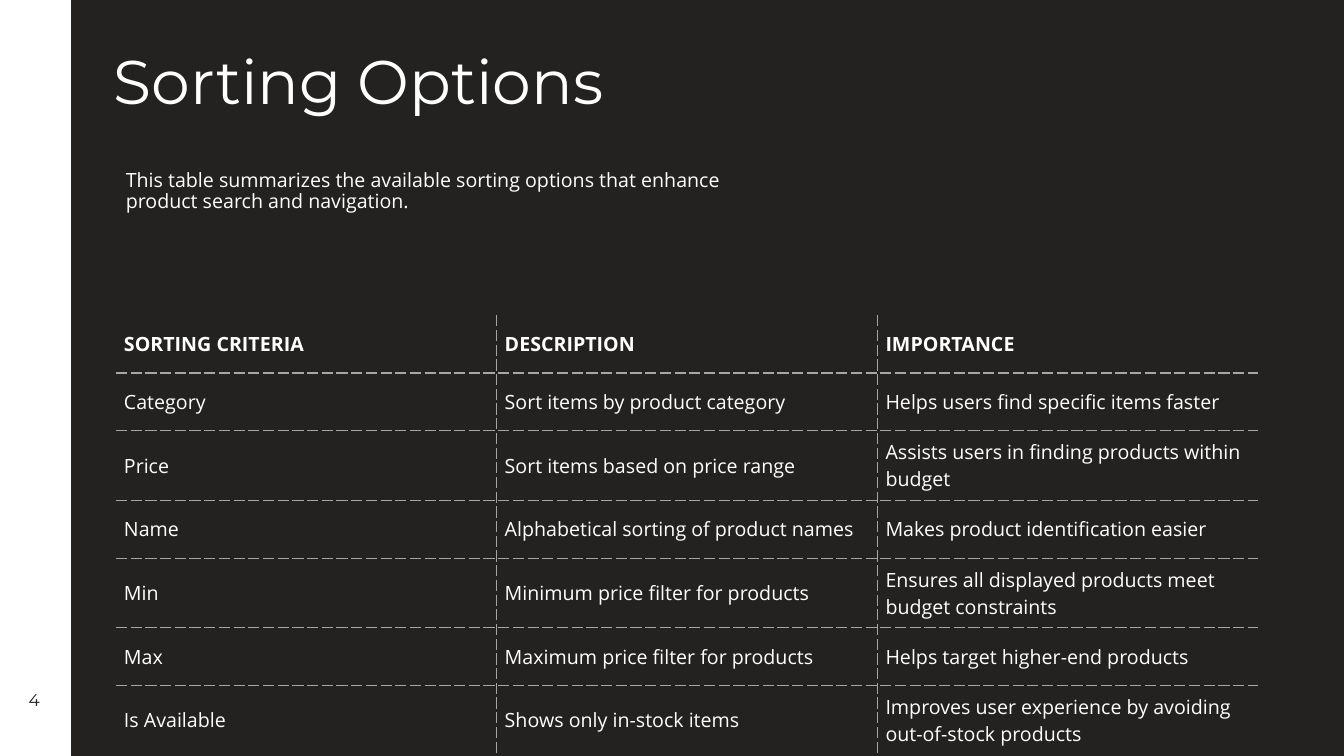
"""Build the slide on sorting options."""
from lxml import etree
from pptx import Presentation
from pptx.dml.color import RGBColor
from pptx.enum.shapes import MSO_CONNECTOR, MSO_SHAPE
from pptx.enum.text import MSO_ANCHOR, PP_ALIGN
from pptx.oxml.ns import qn
from pptx.util import Pt

RECT = MSO_SHAPE.RECTANGLE
LINE = MSO_CONNECTOR.STRAIGHT
MID = MSO_ANCHOR.MIDDLE
LEFT, MIDDLE = PP_ALIGN.LEFT, PP_ALIGN.CENTER
COLORS = {"dark": "232220", "white": "FFFFFF", "rule": "A6A6A6"}
WIDE, HIGH = 960, 540
STRIP = 50
PAD = 5.76
ROWS = [
    ("SORTING CRITERIA", "DESCRIPTION", "IMPORTANCE"),
    ("Category", "Sort items by product category",
     "Helps users find specific items faster"),
    ("Price", "Sort items based on price range",
     "Assists users in finding products within budget"),
    ("Name", "Alphabetical sorting of product names",
     "Makes product identification easier"),
    ("Min", "Minimum price filter for products",
     "Ensures all displayed products meet budget constraints"),
    ("Max", "Maximum price filter for products",
     "Helps target higher-end products"),
    ("Is Available", "Shows only in-stock items",
     "Improves user experience by avoiding out-of-stock products"),
]


def color(name):
    return RGBColor.from_string(COLORS[name])


def apply(item, values):
    for key, value in values.items():
        setattr(item, key, value)


def write(frame, text, size, face="Open Sans", ink="white", bold=False,
          align=LEFT, space=1.0):
    para = frame.paragraphs[0]
    apply(para, {"text": text, "alignment": align, "line_spacing": space})
    font = para.runs[0].font
    apply(font, {"size": Pt(size), "name": face, "bold": bold})
    font.color.rgb = color(ink)


def place(shape, left, top, width, height):
    apply(shape, {"left": Pt(left), "top": Pt(top),
                  "width": Pt(width), "height": Pt(height)})
    apply(shape.text_frame, {"word_wrap": True, "vertical_anchor": MID})
    return shape.text_frame


def add_text(slide, box, text, size, **style):
    frame = place(slide.shapes.add_textbox(0, 0, 0, 0), *box)
    write(frame, text, size, **style)


def add_strip(slide):
    strip = slide.shapes.add_shape(RECT, 0, 0, Pt(STRIP), Pt(HIGH))
    strip.shadow.inherit = False
    strip.fill.solid()
    strip.fill.fore_color.rgb = color("white")
    strip.line.fill.background()
    edge = slide.shapes.add_connector(LINE, Pt(STRIP), 0, Pt(STRIP), Pt(HIGH))
    edge.line.width = Pt(1.5)
    edge.line.color.rgb = color("white")
    etree.SubElement(edge._element.spPr, qn("a:effectLst"))


def add_border(cell, side, shown):
    props = cell._tc.get_or_add_tcPr()
    line = etree.SubElement(props, qn("a:ln" + side), w=str(Pt(1)))
    if shown:
        fill = etree.SubElement(line, qn("a:solidFill"))
        etree.SubElement(fill, qn("a:srgbClr"), val=COLORS["rule"])
        etree.SubElement(line, qn("a:prstDash"), val="sysDash")
    else:
        etree.SubElement(line, qn("a:noFill"))


def add_table(slide, left, top, width, row_high):
    count, cols = len(ROWS), len(ROWS[0])
    table = slide.shapes.add_table(count, cols, Pt(left), Pt(top), Pt(width),
                                   Pt(row_high * count)).table
    apply(table, {"first_row": False, "horz_banding": False})
    for row, texts in enumerate(ROWS):
        tall = row > 0 and row % 2 == 0
        table.rows[row].height = Pt(45.4 if tall else row_high)
        for col, text in enumerate(texts):
            cell = table.cell(row, col)
            apply(cell, {"vertical_anchor": MID,
                         "margin_left": Pt(PAD), "margin_right": Pt(PAD),
                         "margin_top": Pt(PAD), "margin_bottom": Pt(PAD)})
            write(cell.text_frame, text, 14, bold=row == 0)
            sides = {"L": col > 0, "R": col < cols - 1,
                     "T": row > 0, "B": row < count - 1}
            for side, shown in sides.items():
                add_border(cell, side, shown)
            cell.fill.background()


def main():
    deck = Presentation()
    apply(deck, {"slide_width": Pt(WIDE), "slide_height": Pt(HIGH)})
    slide = deck.slides.add_slide(deck.slide_layouts[5])
    slide.background.fill.solid()
    slide.background.fill.fore_color.rgb = color("dark")
    add_strip(slide)
    add_table(slide, 82.8, 225.2, 816, 41.3)
    head = place(slide.shapes.title, 74.2, 23.8, 810.7, 67)
    write(head, "Sorting Options", 44, face="Montserrat")
    add_text(slide, (82.8, 105.8, 475.2, 62),
             "This table summarizes the available sorting options that "
             "enhance product search and navigation.", 14, space=0.9)
    add_text(slide, (0, 486, 49, 28), "4", 12.1, face="Montserrat",
             ink="dark", align=MIDDLE)
    deck.save("out.pptx")


if __name__ == "__main__":
    main()
